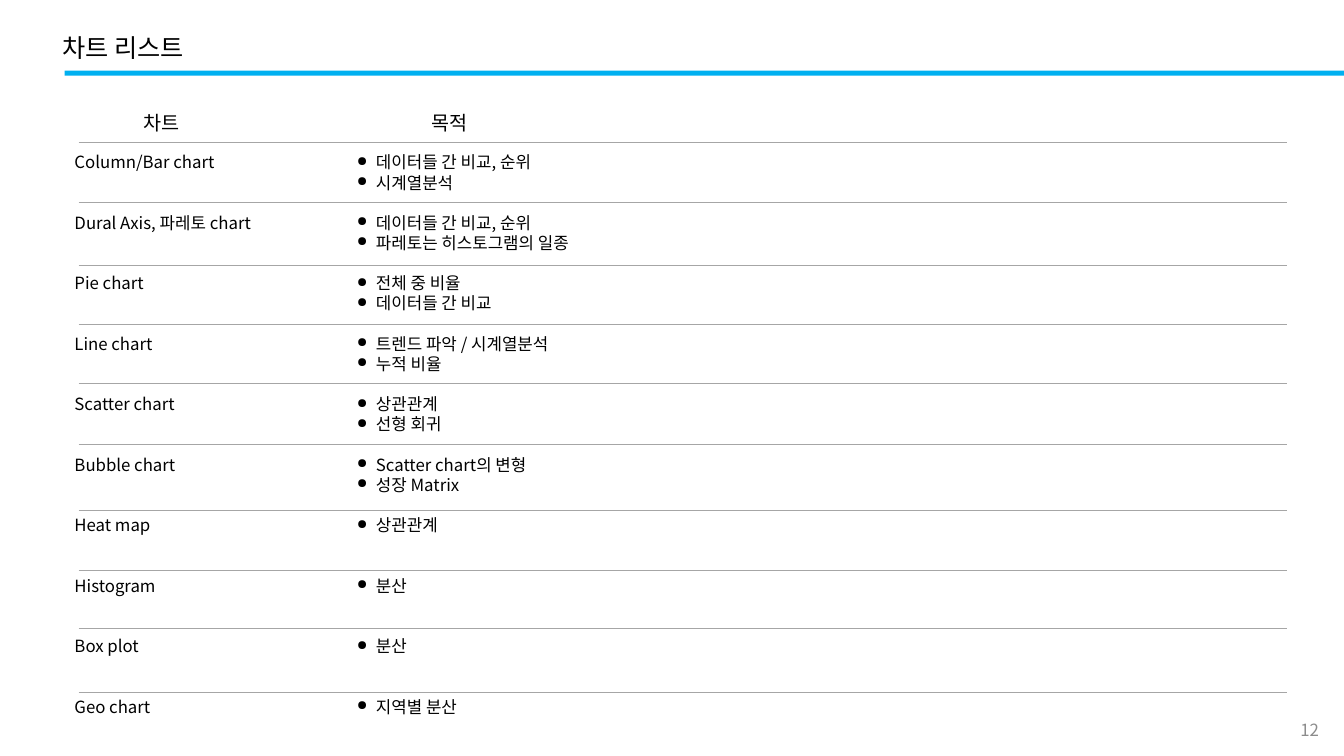
"""Build the chart list slide: chart types beside their purposes."""
from lxml.etree import SubElement
from pptx import Presentation
from pptx.dml.color import RGBColor
from pptx.enum.shapes import MSO_CONNECTOR as Connector, MSO_SHAPE as Preset
from pptx.enum.text import MSO_ANCHOR as Anchor, PP_ALIGN as Align
from pptx.oxml.ns import qn
from pptx.util import Inches, Pt

TITLE = "차트 리스트"
PAGE_NUMBER = "12"
HEADINGS = [("차트", 1), ("목적", 3.86)]
CHARTS = [
    ("Column/Bar chart", ["데이터들 간 비교, 순위", "시계열분석"]),
    ("Dural Axis, 파레토 chart", ["데이터들 간 비교, 순위", "파레토는 히스토그램의 일종"]),
    ("Pie chart", ["전체 중 비율", "데이터들 간 비교"]),
    ("Line chart", ["트렌드 파악 / 시계열분석", "누적 비율"]),
    ("Scatter chart", ["상관관계", "선형 회귀"]),
    ("Bubble chart", ["Scatter chart의 변형", "성장 Matrix"]),
    ("Heat map", ["상관관계"]),
    ("Histogram", ["분산"]),
    ("Box plot", ["분산"]),
    ("Geo chart", ["지역별 분산"]),
]
DIVIDERS = [1.41, 2.01, 2.63, 3.22, 3.8, 4.41, 5.06, 5.66, 6.23, 6.87]
DIVIDER_LEFT, DIVIDER_RIGHT = 0.78, 12.76
LINES_PER_ROW = 3
THEME = {
    "font": "Noto Sans CJK KR",
    "text": RGBColor.from_string("000000"),
    "muted": RGBColor.from_string("8C8C8C"),
    "accent": RGBColor.from_string("00B0F0"),
    "divider": RGBColor.from_string("A6A6A6"),
    "title": 18,
    "heading": 14,
    "body": 12,
    "leading": 1.2,
    "bullet_percent": 80,
}


def add_text(slide, lines, box, size, color=THEME["text"], align=Align.LEFT,
             anchor=Anchor.TOP, bullet=None):
    """Add a text box from (text, blank lines before) pairs."""
    shape = slide.shapes.add_textbox(*map(Inches, box))
    frame = shape.text_frame
    frame.word_wrap = True
    frame.vertical_anchor = anchor
    pitch = size * THEME["leading"]
    for index, (text, gap) in enumerate(lines):
        paragraph = frame.add_paragraph() if index else frame.paragraphs[0]
        paragraph.alignment = align
        paragraph.line_spacing = Pt(pitch)
        if gap:
            paragraph.space_before = Pt(gap * pitch)
        if bullet:
            properties = paragraph._p.get_or_add_pPr()
            properties.set("marL", str(Inches(0.19)))
            properties.set("indent", str(-Inches(0.19)))
            SubElement(properties, qn("a:buSzPct"),
                       val=str(THEME["bullet_percent"] * 1000))
            SubElement(properties, qn("a:buChar"), char=bullet)
        run = paragraph.add_run()
        run.text = text
        run.font.name = THEME["font"]
        run.font.size = Pt(size)
        run.font.color.rgb = color
        SubElement(run.font._element, qn("a:ea"), typeface=THEME["font"])


def add_divider(slide, top):
    """Draw one thin rule across the list."""
    line = slide.shapes.add_connector(
        Connector.STRAIGHT, Inches(DIVIDER_LEFT), Inches(top),
        Inches(DIVIDER_RIGHT), Inches(top))
    line.line.color.rgb = THEME["divider"]
    line.line.width = Pt(0.5)
    SubElement(line._element.spPr, qn("a:effectLst"))


def purpose_lines():
    """Pair each purpose with the blank lines that keep rows aligned."""
    lines, gap = [], 0
    for _, purposes in CHARTS:
        lines.append((purposes[0], gap))
        lines.extend((purpose, 0) for purpose in purposes[1:])
        gap = LINES_PER_ROW - len(purposes)
    return lines


def main():
    """Assemble and save the slide."""
    presentation = Presentation()
    presentation.slide_width = Inches(13.33)
    presentation.slide_height = Inches(7.5)
    slide = presentation.slides.add_slide(presentation.slide_layouts[6])

    bar = slide.shapes.add_shape(
        Preset.RECTANGLE, *map(Inches, (0.64, 0.7, 12.69, 0.05)))
    bar.shadow.inherit = False
    bar.fill.solid()
    bar.fill.fore_color.rgb = THEME["accent"]
    bar.line.fill.background()

    add_text(slide, [(TITLE, 0)], (0.52, 0.27, 6.04, 0.4), THEME["title"])
    names = [(name, LINES_PER_ROW - 1 if index else 0)
             for index, (name, _) in enumerate(CHARTS)]
    add_text(slide, names, (0.64, 1.46, 2.55, 5.76), THEME["body"])
    add_text(slide, purpose_lines(), (3.44, 1.46, 3.11, 5.96), THEME["body"],
             bullet="●")
    for heading, left in HEADINGS:
        add_text(slide, [(heading, 0)], (left, 1.05, 1.2, 0.34),
                 THEME["heading"], align=Align.CENTER)
    for top in DIVIDERS:
        add_divider(slide, top)
    add_text(slide, [(PAGE_NUMBER, 0)], (10.18, 7.04, 3, 0.4), THEME["body"],
             color=THEME["muted"], align=Align.RIGHT, anchor=Anchor.MIDDLE)
    presentation.save("out.pptx")


if __name__ == "__main__":
    main()
